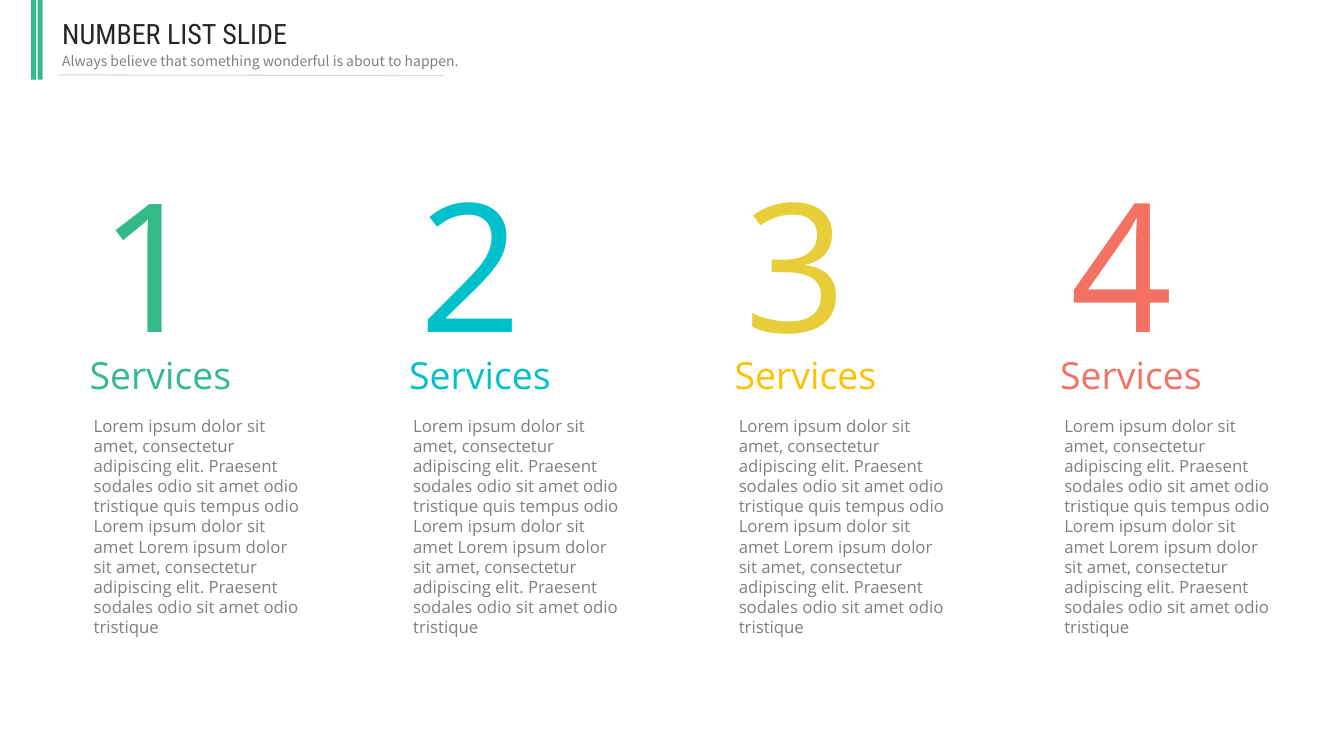
from lxml import etree
from pptx import Presentation
from pptx import util as u
from pptx.dml.color import RGBColor
from pptx.enum import shapes, text
from pptx.oxml.ns import qn

Pt = u.Pt
GREEN = RGBColor(0x34, 0xBA, 0x89)
TEAL = RGBColor(0x00, 0xC0, 0xCB)
GOLD = RGBColor(0xE7, 0xCE, 0x39)
AMBER = RGBColor(0xFF, 0xC0, 0x00)
CORAL = RGBColor(0xF4, 0x72, 0x64)
GRAY = RGBColor(0x80, 0x80, 0x80)
MID = RGBColor(0x7F, 0x7F, 0x7F)
DARK = RGBColor(0x26, 0x26, 0x26)
PALE = RGBColor(0xD8, 0xD8, 0xD8)

SANS = "Open Sans"
LOREM = "Lorem ipsum dolor sit amet, consectetur adipiscing elit. Praesent sodales odio sit amet odio tristique"
BODY = f"{LOREM} quis tempus odio Lorem ipsum dolor sit amet {LOREM}"

deck = Presentation()
deck.slide_width, deck.slide_height = Pt(960), Pt(540)
slide = deck.slides.add_slide(deck.slide_layouts[6])


def label(words, x, y, w, h, font, size, color, **form):
    box = slide.shapes.add_textbox(Pt(x), Pt(y), Pt(w), Pt(h))
    frame = box.text_frame
    frame.word_wrap = True
    frame.vertical_anchor = text.MSO_ANCHOR.MIDDLE
    para = frame.paragraphs[0]
    for key, value in form.items():
        setattr(para, key, value)
    run = para.add_run()
    run.text = words
    for key, value in {"name": font, "size": Pt(size)}.items():
        setattr(run.font, key, value)
    run.font.color.rgb = color


# Numbered columns
columns = [(59.8, GREEN, GREEN), (288, TEAL, TEAL),
           (520.6, GOLD, AMBER), (753.1, CORAL, CORAL)]
for num, (x, hue, tint) in enumerate(columns, 1):
    label(BODY, x, 292.3, 162, 167, SANS, 12, GRAY, line_spacing=Pt(14.4))
    label("Services", x - 2.9, 247.7, 142.6, 39.6, SANS, 26.7, tint)
    label(str(num), x + 4.3, 105.1, 59.8, 162.7, SANS, 128, hue,
          alignment=text.PP_ALIGN.CENTER)

# Accent bars
for x in (22.3, 26.9):
    bar = slide.shapes.add_shape(
        shapes.MSO_SHAPE.RECTANGLE, Pt(x), Pt(0), Pt(3.6), Pt(56.9))
    bar.shadow.inherit = False
    bar.fill.solid()
    bar.fill.fore_color.rgb = GREEN
    bar.line.fill.background()

# Title and subtitle
label("NUMBER LIST SLIDE", 37.4, 7.9, 304.6, 31.7, "Roboto Condensed", 20, DARK)
label("Always believe that something wonderful is about to happen.",
      37.4, 33.8, 304.6, 19.4, "Noto Sans CJK SC", 10, MID)

# Rule under the title
rule = slide.shapes.add_connector(
    shapes.MSO_CONNECTOR.STRAIGHT, Pt(41), Pt(53.5), Pt(317.5), Pt(54))
rule.line.color.rgb = PALE
rule.line.width = Pt(0.75)
etree.SubElement(rule.element.spPr, qn("a:effectLst"))

deck.save("out.pptx")
